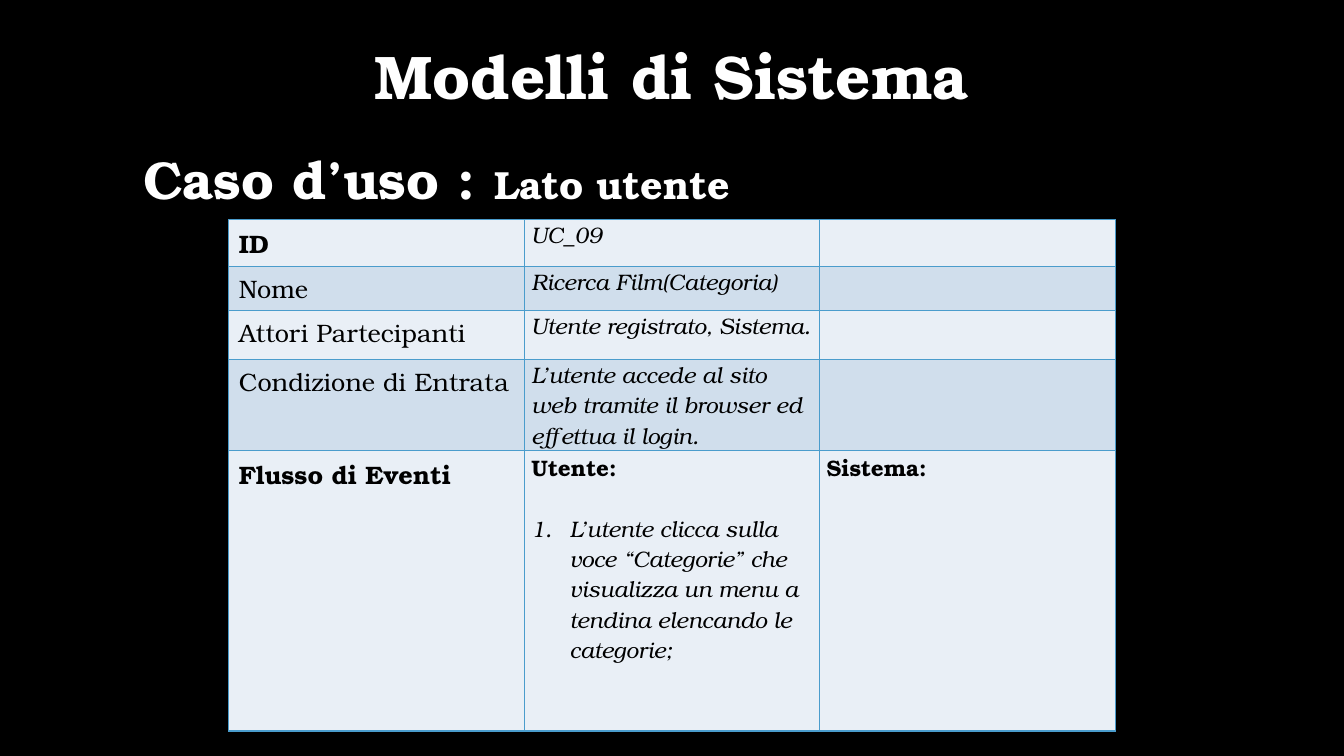
from lxml import etree
from pptx import Presentation
from pptx.dml.color import RGBColor
from pptx.enum.shapes import MSO_SHAPE
from pptx.enum.text import MSO_ANCHOR, PP_ALIGN
from pptx.oxml.ns import qn
from pptx.util import Inches, Pt

BLACK = RGBColor(0x00, 0x00, 0x00)
WHITE = RGBColor(0xFF, 0xFF, 0xFF)
PALE_BLUE = RGBColor(0xE9, 0xEF, 0xF6)
LIGHT_BLUE = RGBColor(0xD0, 0xDE, 0xEC)
BORDER_BLUE = RGBColor(0x4A, 0x9C, 0xCC)
CENTER, LEFT = PP_ALIGN.CENTER, PP_ALIGN.LEFT
TOP = MSO_ANCHOR.TOP
RECTANGLE = MSO_SHAPE.RECTANGLE

FONT = "TeX Gyre Bonum"
LABEL_SIZE, DETAIL_SIZE = 18, 16
COLUMN_SHARES = [21.98] * 3
ROW_SHARES = [6.2, 5.83, 6.48, 12.04, 37.07]
STEP = ("L’utente clicca sulla voce “Categorie” che visualizza "
        "un menu a tendina elencando le categorie;")
# Each row: label, whether the label is bold, detail
USE_CASE = [
    ("ID", True, "UC_09"),
    ("Nome", False, "Ricerca Film(Categoria)"),
    ("Attori Partecipanti", False, "Utente registrato, Sistema."),
    ("Condizione di Entrata", False,
     "L’utente accede al sito web tramite il browser ed effettua il login."),
    ("Flusso di Eventi", True, None),
]


class SlideBuilder:
    """Places styled elements by percentages of the slide's size."""

    def __init__(self, presentation):
        self.width = presentation.slide_width
        self.height = presentation.slide_height
        self.slide = presentation.slides.add_slide(presentation.slide_layouts[6])
        self.slide.background.fill.solid()
        self.slide.background.fill.fore_color.rgb = BLACK

    def across(self, share):
        return round(self.width * share / 100)

    def down(self, share):
        return round(self.height * share / 100)

    def add_run(self, paragraph, text, size, color, bold=False, italic=False):
        run = paragraph.add_run()
        run.text = text
        font = run.font
        font.name, font.size, font.color.rgb = FONT, Pt(size), color
        font.bold, font.italic = bold, italic

    def heading(self, left, top, width, height, parts, alignment):
        """Add a black panel with one bold line made of (text, size) parts."""
        panel = self.slide.shapes.add_shape(
            RECTANGLE, self.across(left), self.down(top),
            self.across(width), self.down(height))
        panel.shadow.inherit = False
        panel.fill.solid()
        panel.fill.fore_color.rgb = BLACK
        panel.line.fill.background()
        frame = panel.text_frame
        frame.word_wrap = True
        frame.vertical_anchor = TOP
        paragraph = frame.paragraphs[0]
        paragraph.alignment = alignment
        paragraph.line_spacing = 0.9
        paragraph.space_before = Pt(10)
        for text, size in parts:
            self.add_run(paragraph, text, size, WHITE, bold=True)

    def table(self, left, top, column_shares, row_shares):
        """Add an empty table with banded rows and thin borders."""
        frame = self.slide.shapes.add_table(
            len(row_shares), len(column_shares), self.across(left), self.down(top),
            self.across(sum(column_shares)), self.down(sum(row_shares)))
        table = frame.table
        table.first_row = table.horz_banding = False
        for column, share in zip(table.columns, column_shares):
            column.width = self.across(share)
        for index, (row, share) in enumerate(zip(table.rows, row_shares)):
            row.height = self.down(share)
            for cell in row.cells:
                self.add_borders(cell)
                cell.fill.solid()
                cell.fill.fore_color.rgb = LIGHT_BLUE if index % 2 else PALE_BLUE
        return table

    def add_borders(self, cell):
        properties = cell._tc.get_or_add_tcPr()
        for side in ("a:lnL", "a:lnR", "a:lnT", "a:lnB"):
            line = etree.SubElement(properties, qn(side), w=str(Pt(1)))
            fill = etree.SubElement(line, qn("a:solidFill"))
            etree.SubElement(fill, qn("a:srgbClr"), val=str(BORDER_BLUE))

    def label(self, cell, text, bold):
        self.add_run(cell.text_frame.paragraphs[0], text, LABEL_SIZE, BLACK, bold)

    def detail(self, cell, text, bold=False):
        """Fill a tightly inset cell; text that is not bold is italic."""
        cell.margin_left = cell.margin_right = Inches(0.07)
        cell.margin_top = cell.margin_bottom = 0
        self.add_run(cell.text_frame.paragraphs[0], text, DETAIL_SIZE, BLACK,
                     bold, not bold)

    def numbered_step(self, cell, text):
        paragraph = cell.text_frame.add_paragraph()
        paragraph.space_before = Pt(21.5)
        properties = paragraph._p.get_or_add_pPr()
        indent = Inches(0.38)
        properties.set("marL", str(indent))
        properties.set("indent", str(-indent))
        etree.SubElement(properties, qn("a:buFont"), typeface="+mj-lt")
        etree.SubElement(properties, qn("a:buAutoNum"), type="arabicPeriod")
        self.add_run(paragraph, text, DETAIL_SIZE, BLACK, italic=True)


def main():
    presentation = Presentation()
    presentation.slide_width = Inches(13.33)
    presentation.slide_height = Inches(7.5)
    builder = SlideBuilder(presentation)

    builder.heading(0, 5.47, 100, 11.73, [("Modelli di Sistema", 44)], CENTER)
    builder.heading(9.94, 19.67, 80.2, 77.07,
                    [("Caso d’uso : ", 38), ("Lato utente", 28)], LEFT)

    table = builder.table(17.03, 29.07, COLUMN_SHARES, ROW_SHARES)
    for index, (label, bold, detail) in enumerate(USE_CASE):
        builder.label(table.cell(index, 0), label, bold)
        if detail:
            builder.detail(table.cell(index, 1), detail)

    events_row = len(USE_CASE) - 1
    user_cell = table.cell(events_row, 1)
    builder.detail(user_cell, "Utente:", bold=True)
    builder.numbered_step(user_cell, STEP)
    builder.detail(table.cell(events_row, 2), "Sistema:", bold=True)

    presentation.save("out.pptx")


if __name__ == "__main__":
    main()
